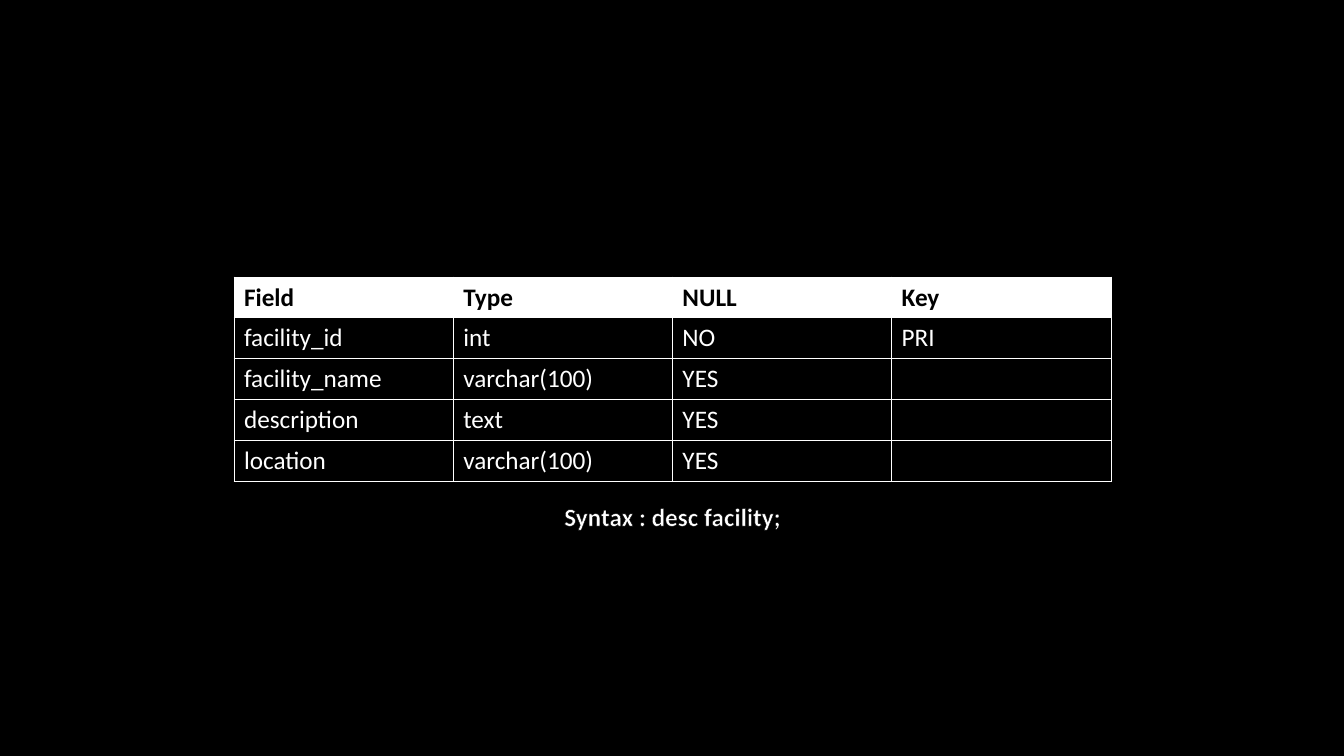
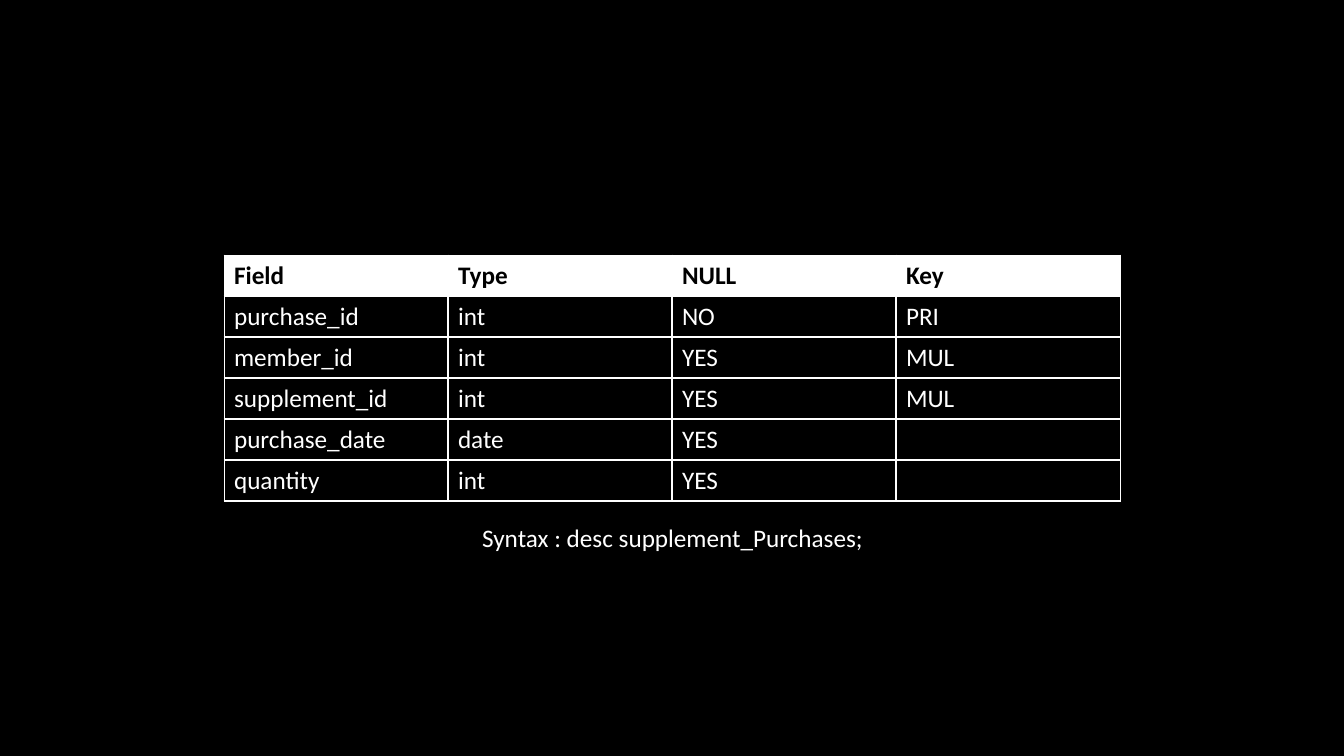
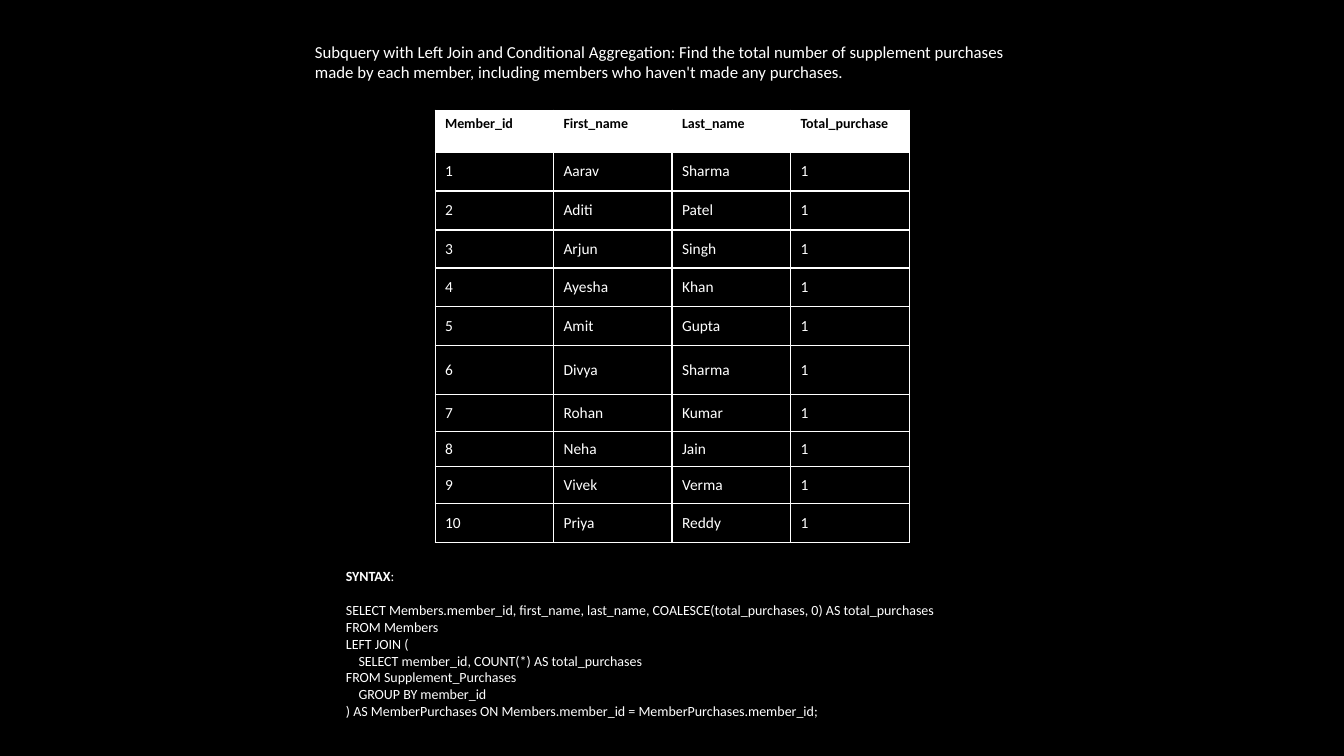
from dataclasses import dataclass

from lxml.etree import SubElement
from pptx import Presentation
from pptx.dml.color import RGBColor
from pptx.enum.text import MSO_ANCHOR, MSO_AUTO_SIZE, PP_ALIGN
from pptx.oxml import parse_xml
from pptx.oxml.ns import nsdecls, qn
from pptx.util import Emu, Pt


@dataclass(frozen=True)
class Theme:
    font: str = "Calibri"
    dark: str = "000000"
    light: str = "FFFFFF"
    body: int = 18
    lead: int = 12
    cell: int = 11
    small: int = 10
    outer_line: float = 0.5
    inner_line: float = 1
    text_outline: float = 0.75


THEME = Theme()
SLIDE_W, SLIDE_H = 1344, 756
EMU_PER_PX = 12192000 / SLIDE_W

SCHEMA_HEADER = ("Field", "Type", "NULL", "Key")
SCHEMAS = [
    {
        "table": (234, 277, 877),
        "row_h": 40,
        "rows": [
            SCHEMA_HEADER,
            ("facility_id", "int", "NO", "PRI"),
            ("facility_name", "varchar(100)", "YES", ""),
            ("description", "text", "YES", ""),
            ("location", "varchar(100)", "YES", ""),
        ],
        "syntax": "Syntax : desc facility;",
        "syntax_top": 496,
        "emphasis": True,
    },
    {
        "table": (224, 255, 896),
        "row_h": 41,
        "rows": [
            SCHEMA_HEADER,
            ("purchase_id", "int", "NO", "PRI"),
            ("member_id", "int", "YES", "MUL"),
            ("supplement_id", "int", "YES", "MUL"),
            ("purchase_date", "date", "YES", ""),
            ("quantity", "int", "YES", ""),
        ],
        "syntax": "Syntax : desc supplement_Purchases;",
        "syntax_top": 517,
        "emphasis": False,
    },
]

QUESTION = (
    "Subquery with Left Join and Conditional Aggregation: Find the total number of "
    "supplement purchases made by each member, including members who haven't made "
    "any purchases."
)
MEMBERS = [
    ("Aarav", "Sharma"),
    ("Aditi", "Patel"),
    ("Arjun", "Singh"),
    ("Ayesha", "Khan"),
    ("Amit", "Gupta"),
    ("Divya", "Sharma"),
    ("Rohan", "Kumar"),
    ("Neha", "Jain"),
    ("Vivek", "Verma"),
    ("Priya", "Reddy"),
]
RESULT_ROWS = [("Member_id", "First_name", "Last_name", "Total_purchase")] + [
    (str(i), first, last, "1") for i, (first, last) in enumerate(MEMBERS, 1)
]
RESULT_HEIGHTS = [42, 39, 39, 38, 39, 39, 49, 37, 35, 37, 39]
QUERY = [
    "SELECT Members.member_id, first_name, last_name, "
    "COALESCE(total_purchases, 0) AS total_purchases",
    "FROM Members",
    "LEFT JOIN (",
    "    SELECT member_id, COUNT(*) AS total_purchases",
    "FROM Supplement_Purchases",
    "    GROUP BY member_id",
    ") AS MemberPurchases ON Members.member_id = MemberPurchases.member_id;",
]


def px(n):
    return Emu(round(n * EMU_PER_PX))


def style_run(r, size, color, bold=False):
    r.font.name = THEME.font
    r.font.size = Pt(size)
    r.font.bold = bold
    r.font.color.rgb = RGBColor.from_string(color)


def outline_run(r):
    ln = parse_xml(
        f'<a:ln {nsdecls("a")} w="{Pt(THEME.text_outline)}"><a:solidFill>'
        f'<a:srgbClr val="{THEME.dark}"/></a:solidFill></a:ln>'
    )
    r.font._element.insert(0, ln)


def add_text(s, box, lines, size, bold=False, align=PP_ALIGN.LEFT):
    tf = s.shapes.add_textbox(*map(px, box)).text_frame
    tf.word_wrap = True
    tf.auto_size = MSO_AUTO_SIZE.SHAPE_TO_FIT_TEXT
    tf.text = "\n".join(lines)
    for p in tf.paragraphs:
        p.alignment = align
        for r in p.runs:
            style_run(r, size, THEME.light, bold)
    return tf


def set_borders(cell, widths):
    tc_pr = cell._tc.get_or_add_tcPr()
    for side, width in zip("LRTB", widths):
        ln = SubElement(tc_pr, qn(f"a:ln{side}"), w=str(Pt(width)))
        fill = SubElement(ln, qn("a:solidFill"))
        SubElement(fill, qn("a:srgbClr"), val=THEME.light)


def add_grid(s, place, rows, heights, head_size, body_size):
    left, top, width = place
    n_cols = len(rows[0])
    frame = s.shapes.add_table(
        len(rows), n_cols, px(left), px(top), px(width), px(sum(heights))
    )
    table = frame.table
    table.horz_banding = False
    for col in table.columns:
        col.width = px(width / n_cols)
    for i, (values, height) in enumerate(zip(rows, heights)):
        table.rows[i].height = px(height)
        head = i == 0
        for j, value in enumerate(values):
            cell = table.cell(i, j)
            at_edge = (j == 0, j == n_cols - 1, head, False)
            set_borders(
                cell, [THEME.outer_line if e else THEME.inner_line for e in at_edge]
            )
            if head:
                cell.fill.solid()
                cell.fill.fore_color.rgb = RGBColor.from_string(THEME.light)
            else:
                cell.fill.background()
                cell.vertical_anchor = MSO_ANCHOR.MIDDLE
            cell.text_frame.text = value
            for r in cell.text_frame.paragraphs[0].runs:
                style_run(
                    r,
                    head_size if head else body_size,
                    THEME.dark if head else THEME.light,
                    head,
                )


def add_schema_slide(s, schema):
    rows = schema["rows"]
    heights = [schema["row_h"]] * len(rows)
    add_grid(s, schema["table"], rows, heights, THEME.body, THEME.body)
    box = (361, schema["syntax_top"], 623, 40)
    tf = add_text(
        s, box, [schema["syntax"]], THEME.body, schema["emphasis"], PP_ALIGN.CENTER
    )
    if schema["emphasis"]:
        outline_run(tf.paragraphs[0].runs[0])


def add_query_slide(s):
    add_text(s, (305, 37, 734, 50), [QUESTION], THEME.lead)
    add_grid(s, (435, 110, 474), RESULT_ROWS, RESULT_HEIGHTS, THEME.small, THEME.cell)
    tf = add_text(s, (336, 563, 672, 163), ["SYNTAX"] + QUERY, THEME.small)
    label, first_line = tf.paragraphs[:2]
    label.runs[0].font.bold = True
    colon = label.add_run()
    colon.text = ":"
    style_run(colon, THEME.small, THEME.light)
    first_line.space_before = Pt(12)


def main():
    prs = Presentation()
    prs.slide_width, prs.slide_height = px(SLIDE_W), px(SLIDE_H)
    fill = prs.slide_master.background.fill
    fill.solid()
    fill.fore_color.rgb = RGBColor.from_string(THEME.dark)
    blank = prs.slide_layouts[6]
    for schema in SCHEMAS:
        add_schema_slide(prs.slides.add_slide(blank), schema)
    add_query_slide(prs.slides.add_slide(blank))
    prs.save("out.pptx")


if __name__ == "__main__":
    main()
